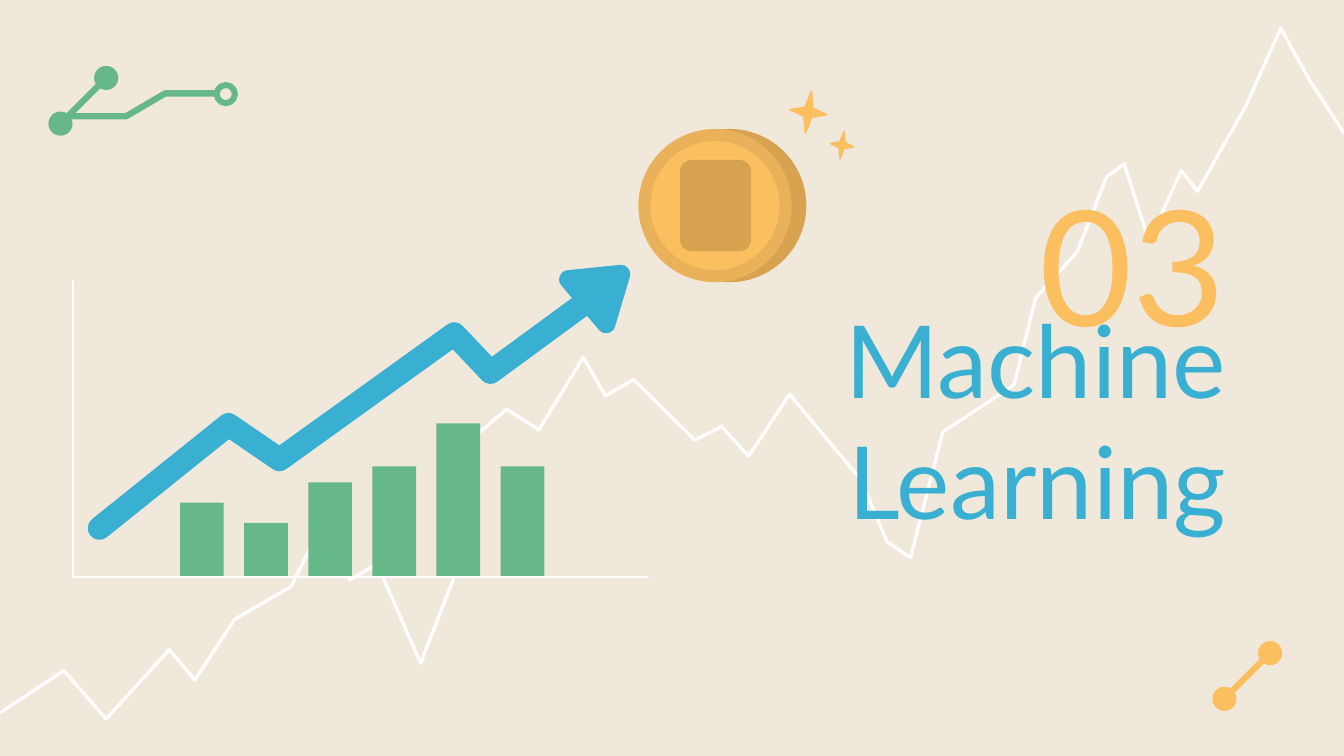
from lxml.etree import SubElement
from pptx import Presentation
from pptx.dml.color import RGBColor
from pptx.enum.shapes import MSO_CONNECTOR, MSO_SHAPE
from pptx.enum.text import MSO_ANCHOR, PP_ALIGN
from pptx.oxml.ns import qn
from pptx.util import Inches, Pt

COLORS = {"paper": "F1E8DC", "white": "FFFFFF", "green": "66B888", "blue": "39B0D1",
          "gold": "FBBF60", "rim": "E8B15A", "edge": "D7A350"}
CELL = Inches(0.01)  # the slide is a grid of 1000 columns by 562.5 rows
COLS, ROWS = 1000, 562.5


def rgb(name):
    return RGBColor.from_string(COLORS[name])


def cells(*values):
    return [round(v * CELL) for v in values]


def paint(sp, fill=None, line=None, width=1):
    """Set fill and outline; outlines get round caps and joins."""
    sp.shadow.inherit = False
    if fill:
        sp.fill.solid()
        sp.fill.fore_color.rgb = rgb(fill)
    else:
        sp.fill.background()
    if line:
        sp.line.color.rgb = rgb(line)
        sp.line.width = Pt(width)
        ln = sp.line._get_or_add_ln()
        ln.set("cap", "rnd")
        SubElement(ln, qn("a:round"))
    else:
        sp.line.fill.background()
    return sp


def add_path(s, box, points, closed=False, **style):
    """Draw a path through points measured from the corner of box."""
    x, y = box[:2]
    pts = [cells(x + dx, y + dy) for dx, dy in points]
    fb = s.shapes.build_freeform(*pts[0])
    fb.add_line_segments(pts[1:], close=closed)
    return paint(fb.convert_to_shape(), **style)


def add_preset(s, kind, box, **style):
    return paint(s.shapes.add_shape(kind, *cells(*box)), **style)


def add_dot(s, cx, cy, d, **style):
    return add_preset(s, MSO_SHAPE.OVAL, (cx - d / 2, cy - d / 2, d, d), **style)


def add_market_line(s, box):
    points = [(0, 510.5), (47.5, 479), (79, 515), (126, 463.5), (145, 486), (174.5, 441),
              (216.5, 416.5), (244, 361.5), (260.5, 411.5), (280.5, 399.5), (313, 473.5),
              (337, 412), (353.5, 304.5), (377, 284.5), (401, 300), (434, 246),
              (450.5, 274.5), (471.5, 262.5), (517, 307.5), (537, 297.5), (557, 319.5),
              (587.5, 273.5), (640.5, 337), (660, 383), (677.5, 395), (701.5, 301.5),
              (754.5, 266.5), (770.5, 202), (801.5, 167.5), (823.5, 111.5), (836.5, 102),
              (855, 159.5), (879, 107), (891, 122.5), (927.5, 58), (953, 1),
              (974, 39), (999.5, 78.5)]
    add_path(s, box, points, line="white", width=1.75)


def add_node_pair(s, box, color):
    """Join two dots along the rising diagonal of box."""
    x, y, w, h = box
    c = s.shapes.add_connector(MSO_CONNECTOR.STRAIGHT, *cells(x, y + h, x + w, y))
    c.line.color.rgb = rgb(color)
    c.line.width = Pt(3.4)
    SubElement(c._element.spPr, qn("a:effectLst"))
    for cx, cy in ((x, y + h), (x + w, y)):
        add_dot(s, cx, cy, 18, fill=color)


def add_circuit(s, box):
    x, y, w, h = box
    add_path(s, box, [(2, 28.5), (49, 28.5), (78, 11.5), (115, 11.5)],
             line="green", width=3.4)
    add_node_pair(s, (x, y, h, h), "green")
    add_dot(s, x + w, y + 12, 13.5, line="green", width=3.2)


def add_growth_chart(s, box):
    x, y, w, h = box
    first, pitch, bar_w = 80, 47.7, 32.5
    for i, bar_h in enumerate([55, 40, 70, 82, 114, 82]):
        add_preset(s, MSO_SHAPE.RECTANGLE,
                   (x + first + i * pitch, y + h - bar_h, bar_w, bar_h), fill="green")
    add_path(s, box, [(0, 0), (0, h), (w, h)], line="white", width=1.08)
    trend = [(20, 184), (116, 107), (154, 133), (284, 39.5), (311, 68), (390, 10)]
    add_path(s, box, trend, line="blue", width=12.5)
    add_path(s, box, [(408, -5), (369, -1), (397, 32)], closed=True,
             fill="blue", line="blue", width=10)


def add_coin(s, box):
    x, y, w, h = box
    cx, cy = x + h / 2, y + h / 2
    for shift, size, color in ((w - h, h, "edge"), (0, h, "rim"), (0, 96, "gold")):
        add_dot(s, cx + shift, cy, size, fill=color)
    add_preset(s, MSO_SHAPE.ROUNDED_RECTANGLE, (cx - 26, cy - 34, 53, 68), fill="edge")


def add_sparkles(s, box):
    x, y = box[:2]
    for dx, dy, w, h in ((0, 0, 27, 31), (30, 30, 17, 20)):
        sp = add_preset(s, MSO_SHAPE.STAR_4_POINT, (x + dx, y + dy, w, h),
                        fill="gold", line="gold", width=1)
        sp.adjustments[0] = 0.15
        sp.rotation = 8


def add_heading(s, box, text, size, color):
    tf = s.shapes.add_textbox(*cells(*box)).text_frame
    frame = {"word_wrap": True, "vertical_anchor": MSO_ANCHOR.MIDDLE}
    frame.update({f"margin_{side}": Inches(0.1)
                  for side in ("left", "right", "top", "bottom")})
    for name, value in frame.items():
        setattr(tf, name, value)
    p = tf.paragraphs[0]
    p.alignment = PP_ALIGN.RIGHT
    r = p.add_run()
    r.text = text
    for name, value in {"name": "Lato", "size": Pt(size)}.items():
        setattr(r.font, name, value)
    r.font.color.rgb = rgb(color)


def add_section_slide(prs):
    s = prs.slides.add_slide(prs.slide_layouts[6])
    s.background.fill.solid()
    s.background.fill.fore_color.rgb = rgb("paper")
    add_market_line(s, (0, 20, 1000, 516))
    add_circuit(s, (45, 58, 123, 34))
    add_node_pair(s, (911, 486, 34, 34), "gold")
    add_heading(s, (349, 257, 573, 109), "Machine Learning", 54, "blue")
    add_heading(s, (561, 134, 361, 123), "03", 86, "gold")
    add_growth_chart(s, (54, 209, 428, 220))
    add_coin(s, (475, 96, 125, 114))
    add_sparkles(s, (588, 68, 47, 50))


def main():
    prs = Presentation()
    prs.slide_width, prs.slide_height = cells(COLS, ROWS)
    add_section_slide(prs)
    prs.save("out.pptx")


if __name__ == "__main__":
    main()
